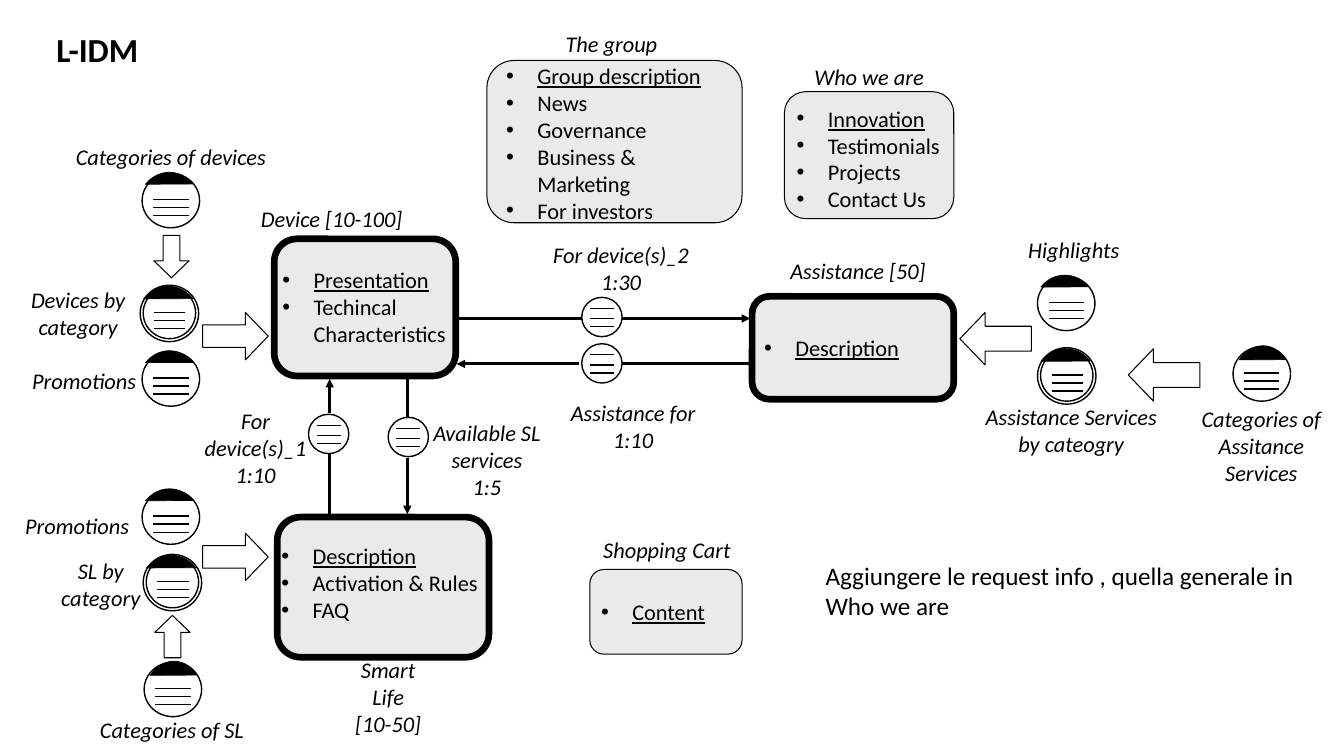
import dataclasses

import pptx
import pptx.dml.color
import pptx.enum.shapes
import pptx.enum.text
import pptx.oxml.ns
import pptx.util
from lxml import etree

Inches = pptx.util.Inches
Pt = pptx.util.Pt
SHAPE = pptx.enum.shapes.MSO_SHAPE
ALIGN = pptx.enum.text.PP_ALIGN
ANCHOR = pptx.enum.text.MSO_ANCHOR
STRAIGHT = pptx.enum.shapes.MSO_CONNECTOR.STRAIGHT
qn = pptx.oxml.ns.qn


@dataclasses.dataclass(frozen=True)
class Theme:
    font: str = "Calibri"
    black: str = "000000"
    white: str = "FFFFFF"
    panel: str = "EAEAEA"
    title: int = 24
    note: int = 18
    text: int = 16
    thin: float = 0.75
    thick: float = 4.75
    indent: float = 0.31


@dataclasses.dataclass(frozen=True)
class Badge:
    size: tuple
    rule_x: tuple
    rule_y: tuple
    inner: tuple = ()
    cap: tuple = ()


THEME = Theme()
SMALL = Badge((0.4, 0.39), (0.08, 0.32), (0.11, 0.21, 0.29))
SINGLE = Badge((0.57, 0.54), (0.11, 0.46), (0.26, 0.34, 0.42),
               cap=(-0.04, -0.01, 0.62, 0.67))
EDGE = dataclasses.replace(SINGLE, cap=(0, -0.01, 0.59, 0.71))
DOUBLE = Badge((0.58, 0.56), (0.14, 0.45), (0.27, 0.35, 0.43),
               inner=(0.03, 0.02, 0.52, 0.51), cap=(-0.04, 0.01, 0.64, 0.7))


def color(value):
    return pptx.dml.color.RGBColor.from_string(value)


def add_run(p, text, size, bold=False, italic=False, underline=False):
    r = p.add_run()
    r.text = text
    r.font.name = THEME.font
    r.font.size = Pt(size)
    r.font.bold = bold
    r.font.italic = italic
    r.font.underline = underline
    r.font.color.rgb = color(THEME.black)


def paragraphs(tf, lines):
    for i, line in enumerate(lines):
        yield (tf.add_paragraph() if i else tf.paragraphs[0]), line


def place(sp, box):
    sp.left, sp.top, sp.width, sp.height = map(Inches, box)


def add_shape(shapes, kind, box, fill=None, width=1.0):
    sp = shapes.add_shape(kind, *map(Inches, box))
    sp.shadow.inherit = False
    if fill:
        sp.fill.solid()
        sp.fill.fore_color.rgb = color(fill)
    else:
        sp.fill.background()
    sp.line.color.rgb = color(THEME.black)
    sp.line.width = Pt(width)
    return sp


def add_line(shapes, x1, y1, x2, y2, width=1.0, arrow=False):
    sp = shapes.add_connector(STRAIGHT, *map(Inches, (x1, y1, x2, y2)))
    sp.line.color.rgb = color(THEME.black)
    sp.line.width = Pt(width)
    if arrow:
        etree.SubElement(sp.line._get_or_add_ln(), qn("a:tailEnd"), type="triangle")
    etree.SubElement(sp.element.spPr, qn("a:effectLst"))


def add_label(slide, box, lines, wrap=False, size=THEME.text,
              align=ALIGN.CENTER, italic=True):
    tf = slide.shapes.add_textbox(*map(Inches, box)).text_frame
    tf.word_wrap = wrap
    for p, line in paragraphs(tf, lines):
        p.alignment = align
        add_run(p, line, size, italic=italic)


def fill_list(tf, items, plain=()):
    for p, item in paragraphs(tf, items):
        p.alignment = ALIGN.LEFT
        p.space_before = Pt(0)
        pPr = p._p.get_or_add_pPr()
        pPr.set("marL", str(Inches(THEME.indent)))
        if item in plain:
            pPr.set("indent", "0")
            etree.SubElement(pPr, qn("a:buNone"))
        else:
            pPr.set("indent", str(-Inches(THEME.indent)))
            etree.SubElement(pPr, qn("a:buFont"), typeface="Arial")
            etree.SubElement(pPr, qn("a:buChar"), char="•")
        add_run(p, item, THEME.text, underline=item == items[0])


def add_panel(slide, box, width=THEME.thin):
    sp = add_shape(slide.shapes, SHAPE.ROUNDED_RECTANGLE, box, THEME.panel, width)
    sp.adjustments[0] = 0.167
    return sp


def list_panel(slide, idx, box, text_box, items, width=THEME.thin, wrap=False, plain=()):
    add_panel(slide, box, width)
    sp = slide.placeholders[idx]
    place(sp, text_box)
    sp.element.getparent().append(sp.element)
    tf = sp.text_frame
    tf.auto_size = pptx.enum.text.MSO_AUTO_SIZE.NONE
    tf.vertical_anchor = ANCHOR.TOP
    tf.word_wrap = wrap
    fill_list(tf, items, plain)


def item_panel(slide, box, item, width=THEME.thin):
    tf = add_panel(slide, box, width).text_frame
    tf.word_wrap = False
    tf.vertical_anchor = ANCHOR.MIDDLE
    tf.margin_left = tf.margin_right = Inches(0.07)
    tf.margin_top = tf.margin_bottom = Inches(0.03)
    fill_list(tf, [item])


def add_badge(slide, x, y, badge):
    shapes = slide.shapes.add_group_shape().shapes
    add_shape(shapes, SHAPE.OVAL, (x, y, *badge.size), THEME.white)
    if badge.inner:
        dx, dy, w, h = badge.inner
        add_shape(shapes, SHAPE.OVAL, (x + dx, y + dy, w, h), THEME.white)
    start, end = badge.rule_x
    for dy in badge.rule_y:
        add_line(shapes, x + start, y + dy, x + end, y + dy)
    if badge.cap:
        dx, dy, w, h = badge.cap
        cap = add_shape(shapes, SHAPE.CHORD, (x + dx, y + dy, w, h), THEME.black, 0.5)
        cap.adjustments[0], cap.adjustments[1] = 133.506, 190.193


def add_block_arrow(slide, box, rotation=0):
    sp = add_shape(slide.shapes, SHAPE.RIGHT_ARROW, box, width=THEME.thin)
    sp.adjustments[0], sp.adjustments[1] = 0.475, 0.48
    sp.rotation = rotation


def add_title(slide, box, text):
    sp = slide.shapes.title
    place(sp, box)
    tf = sp.text_frame
    tf.auto_size = pptx.enum.text.MSO_AUTO_SIZE.NONE
    tf.vertical_anchor = ANCHOR.TOP
    tf.paragraphs[0].alignment = ALIGN.LEFT
    add_run(tf.paragraphs[0], text, THEME.title, bold=True)


def add_panels(slide):
    list_panel(slide, 1, (4.83, 0.6, 2.53, 1.61), (4.92, 0.57, 2.34, 1.72),
               ["Group description", "News", "Governance", "Business & Marketing",
                "For investors"], wrap=True)
    list_panel(slide, 2, (7.78, 0.91, 1.68, 1.26), (7.8, 0.99, 1.64, 1.48),
               ["Innovation", "Testimonials", "Projects", "Contact Us"])
    list_panel(slide, 3, (2.72, 2.37, 1.8, 1.36), (2.7, 2.59, 1.84, 1.21),
               ["Presentation", "Techincal", "Characteristics"], THEME.thick,
               plain=("Characteristics",))
    list_panel(slide, 4, (2.75, 5.13, 2.1, 1.39), (2.69, 5.33, 2.18, 0.91),
               ["Description", "Activation & Rules", "FAQ"], THEME.thick)
    item_panel(slide, (7.46, 2.94, 2, 1.02), "Description", THEME.thick)
    item_panel(slide, (5.85, 5.65, 1.51, 0.84), "Content")


def add_flows(slide):
    for x1, y1, x2, y2, arrow in [
            (3.27, 4.1, 3.27, 3.76, True), (3.27, 5.1, 3.27, 4.48, False),
            (4.04, 3.75, 4.04, 4.14, False), (4.04, 4.54, 4.04, 5.1, True),
            (4.51, 3.16, 5.77, 3.16, False), (6.1, 3.16, 7.44, 3.16, True),
            (7.43, 3.61, 6.17, 3.61, False), (5.74, 3.61, 4.53, 3.61, True)]:
        add_line(slide.shapes, x1, y1, x2, y2, 2, arrow)
    for box, rotation in [((2.01, 3.1, 0.65, 0.47), 0), ((2.01, 5.29, 0.65, 0.47), 0),
                          ((1.49, 2.37, 0.42, 0.35), 90), ((1.5, 6.14, 0.42, 0.35), 270),
                          ((9.52, 3.1, 0.71, 0.52), 180), ((11.19, 3.46, 0.71, 0.52), 180)]:
        add_block_arrow(slide, box, rotation)
    for x, y, badge in [
            (5.77, 2.95, SMALL), (5.77, 3.41, SMALL), (3.06, 4.11, SMALL),
            (3.85, 4.14, SMALL), (1.41, 1.72, SINGLE), (1.41, 3.49, SINGLE),
            (1.41, 4.86, SINGLE), (10.29, 2.74, SINGLE), (1.43, 6.57, EDGE),
            (12.23, 3.44, EDGE), (1.39, 2.83, DOUBLE), (1.42, 5.5, DOUBLE),
            (10.29, 3.45, DOUBLE)]:
        add_badge(slide, x, y, badge)


def add_labels(slide):
    for box, *lines in [
            ((5.5, 0.25, 1.13, 0.37), "The group"),
            ((7.97, 0.58, 1.3, 0.37), "Who we are"),
            ((0.64, 1.37, 2.11, 0.37), "Categories of devices"),
            ((2.48, 1.99, 1.62, 0.37), "Device [10-100]"),
            ((7.73, 2.5, 1.56, 0.37), "Assistance [50]"),
            ((10.09, 2.29, 1.12, 0.37), "Highlights"),
            ((0.2, 2.79, 1.15, 0.64), "Devices by", "category"),
            ((0.21, 3.59, 1.25, 0.37), "Promotions"),
            ((9.64, 3.95, 1.97, 0.64), "Assistance Services", "by cateogry"),
            ((0.14, 5.03, 1.25, 0.37), "Promotions"),
            ((0.5, 5.48, 1, 0.64), "SL by", "category"),
            ((5.87, 5.27, 1.49, 0.37), "Shopping Cart"),
            ((3.42, 6.46, 0.86, 0.91), "Smart", "Life", "[10-50]"),
            ((0.88, 7.06, 1.65, 0.37), "Categories of SL")]:
        add_label(slide, box, lines)
    for box, *lines in [
            ((1.81, 3.99, 1.45, 0.91), "For device(s)_1", "1:10"),
            ((5.23, 2.34, 1.86, 0.64), "For device(s)_2", "1:30"),
            ((4.1, 4.11, 1.46, 0.91), "Available SL services", "1:5"),
            ((5.45, 3.91, 1.66, 0.64), "Assistance for", "1:10"),
            ((11.65, 3.97, 1.72, 0.91), "Categories of", "Assitance Services")]:
        add_label(slide, box, lines, wrap=True)
    add_label(slide, (8.09, 5.51, 4.96, 1.01),
              ["Aggiungere le request info , quella generale in", "Who we are"],
              size=THEME.note, align=ALIGN.LEFT, italic=False)


def main():
    prs = pptx.Presentation()
    prs.slide_width, prs.slide_height = Inches(13.33), Inches(7.5)
    slide = prs.slides.add_slide(prs.slide_layouts[4])
    add_title(slide, (0.46, 0.24, 1.22, 0.5), "L-IDM")
    add_panels(slide)
    add_flows(slide)
    add_labels(slide)
    prs.save("out.pptx")


if __name__ == "__main__":
    main()
